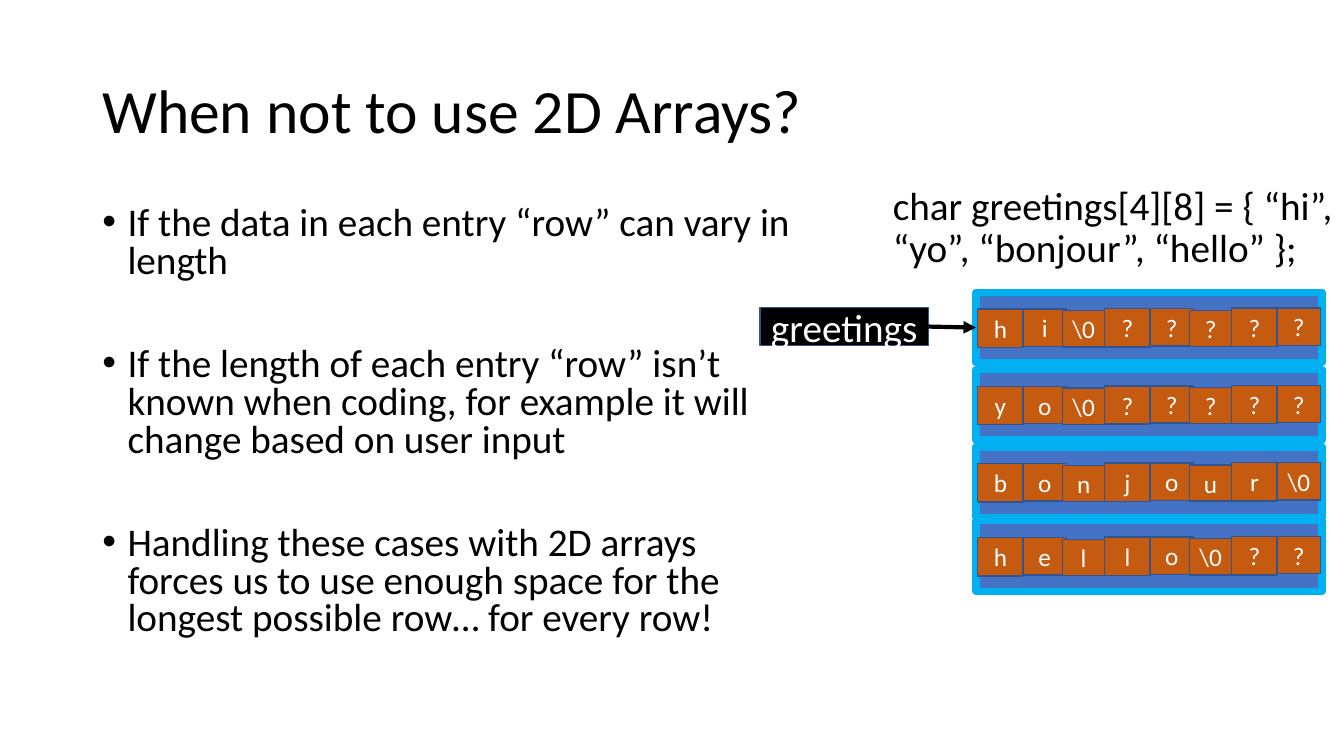
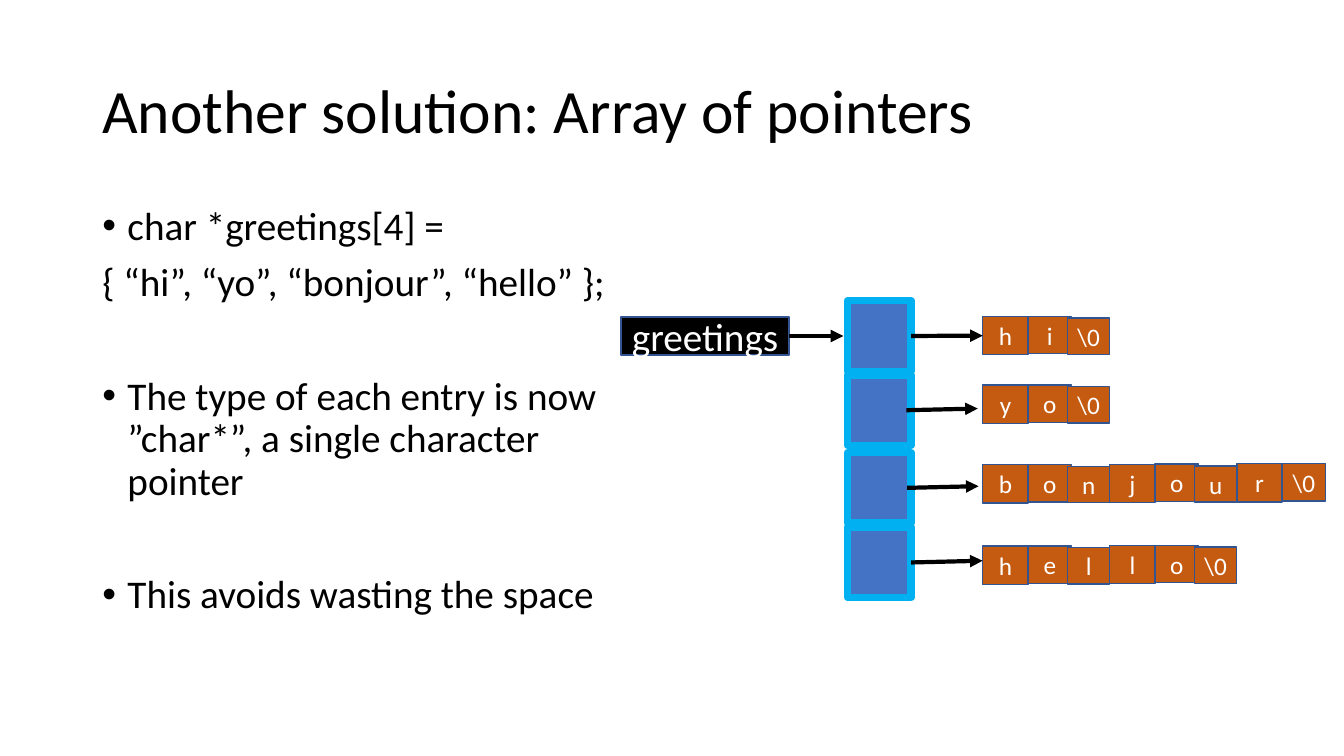
from lxml.etree import SubElement
from pptx import Presentation
from pptx.dml.color import RGBColor
from pptx.enum.shapes import MSO_CONNECTOR as Connector, MSO_SHAPE as Shape
from pptx.enum.text import MSO_ANCHOR as Anchor, PP_ALIGN as Align
from pptx.oxml.ns import qn
from pptx.util import Inches, Pt

# Grid of 80 columns by 45 rows, square units
COLUMNS, ROWS = 80, 45
UNIT = Inches(7.5) / ROWS

# Shared look
FONT = "Calibri"
BLACK, WHITE = "000000", "FFFFFF"
BLUE, CYAN, ORANGE, NAVY = "4472C4", "00B0F0", "C55A11", "325491"
LEFT = 5.5
LABEL_SIZE = (10.02, 2.28)
BAR_HEIGHT = 4.2

# Character cells repeat in groups of three slightly different sizes
GROUP_WIDTH = 7.56
CELL_PATTERN = [(0, 0, 2.7, 2.28), (2.7, 0, 2.58, 2.22), (5.04, 0.1, 2.52, 2.16)]


def grid(*units):
    return [round(unit * UNIT) for unit in units]


def color(hex_string):
    return RGBColor.from_string(hex_string)


def apply(target, values):
    for name, value in values.items():
        setattr(target, name, value)


def add_run(paragraph, text, size, hex_string):
    run = paragraph.add_run()
    run.text = text
    apply(run.font, {"name": FONT, "size": Pt(size)})
    run.font.color.rgb = color(hex_string)


def set_bullet(paragraph):
    properties = paragraph._p.get_or_add_pPr()
    properties.set("marL", str(Inches(0.25)))
    properties.set("indent", str(-Inches(0.25)))
    SubElement(properties, qn("a:buFont"), typeface="Arial")
    SubElement(properties, qn("a:buChar"), char="•")


def add_text(slide, box, paragraphs, size=28, spacing=0.9, anchor=Anchor.TOP):
    """Each paragraph is (text, has bullet, points before)."""
    frame = slide.shapes.add_textbox(*grid(*box)).text_frame
    apply(frame, {"word_wrap": True, "vertical_anchor": anchor})
    for index, (text, bullet, before) in enumerate(paragraphs):
        paragraph = frame.add_paragraph() if index else frame.paragraphs[0]
        apply(paragraph, {"line_spacing": spacing, "space_before": Pt(before)})
        if bullet:
            set_bullet(paragraph)
        add_run(paragraph, text, size, BLACK)


def add_box(slide, box, fill, line, line_width, text="", size=18):
    shape = slide.shapes.add_shape(Shape.RECTANGLE, *grid(*box))
    shape.shadow.inherit = False
    shape.fill.solid()
    shape.fill.fore_color.rgb = color(fill)
    shape.line.color.rgb = color(line)
    shape.line.width = Pt(line_width)
    if text:
        frame = shape.text_frame
        apply(frame, {"margin_left": 0, "margin_right": 0,
                      "vertical_anchor": Anchor.MIDDLE})
        frame.paragraphs[0].alignment = Align.CENTER
        add_run(frame.paragraphs[0], text, size, WHITE)
    return shape


def add_bar(slide, left, top, width):
    return add_box(slide, (left, top, width, BAR_HEIGHT), BLUE, CYAN, 5.25)


def add_label(slide, left, top):
    return add_box(slide, (left, top, *LABEL_SIZE), BLACK, NAVY, 1, "greetings", 28)


def add_cells(slide, left, top, characters):
    cells = []
    for index, character in enumerate(characters):
        group, position = divmod(index, 3)
        across, down, width, height = CELL_PATTERN[position]
        box = (left + group * GROUP_WIDTH + across, top + down - 0.03 * group, width, height)
        cells.append(add_box(slide, box, ORANGE, NAVY, 1, character))
    return cells


def add_arrow(slide, start, end, source=None, target=None):
    arrow = slide.shapes.add_connector(Connector.STRAIGHT, *grid(*start, *end))
    if source is not None:
        arrow.begin_connect(source, 3)
    if target is not None:
        arrow.end_connect(target, 1)
    arrow.line.color.rgb = color(BLACK)
    arrow.line.width = Pt(3)
    SubElement(arrow.line._get_or_add_ln(), qn("a:tailEnd"), type="triangle")
    SubElement(arrow._element.spPr, qn("a:effectLst"))


def add_slide(presentation, title):
    slide = presentation.slides.add_slide(presentation.slide_layouts[6])
    add_text(slide, (LEFT, 2.4, 69, 8.7), [(title, False, 0)], 44, anchor=Anchor.MIDDLE)
    return slide


def build_2d_array(presentation):
    slide = add_slide(presentation, "When not to use 2D Arrays?")
    add_text(slide, (LEFT, 12, 42.2, 28.5), [
        ("If the data in each entry “row” can vary in length", True, 10),
        ("If the length of each entry “row” isn’t known when coding, "
         "for example it will change based on user input", True, 47),
        ("Handling these cases with 2D arrays forces us to use enough space "
         "for the longest possible row… for every row!", True, 47),
    ], spacing=0.8)

    # Four full-width rows, padded with unknown characters
    rows = [
        (17.4, ["h", "i", "\\0"]),
        (22, ["y", "o", "\\0"]),
        (26.6, [*"bonjour", "\\0"]),
        (31, [*"hello", "\\0"]),
    ]
    bars = [add_bar(slide, 58.1, top, 20.6) for top, _ in rows]
    for top, characters in rows:
        padding = ["?"] * (8 - len(characters))
        add_cells(slide, 58.2, top + 1, characters + padding)

    # Array name and declaration
    label = add_label(slide, 45.24, 18.3)
    add_arrow(slide, (55.26, 19.44), (58.1, 19.5), label, bars[0])
    add_text(slide, (52.56, 10.8, 29.2, 7.1),
             [("char greetings[4][8] = { “hi”, “yo”, “bonjour”, “hello” };", False, 10)])


def build_pointer_array(presentation):
    slide = add_slide(presentation, "Another solution: Array of pointers")
    add_text(slide, (LEFT, 12, 33.1, 28.5), [
        ("char *greetings[4] =", True, 10),
        ("{ “hi”, “yo”, “bonjour”, “hello” };", False, 10),
        ("The type of each entry is now ”char*”, a single character pointer", True, 51),
        ("This avoids wasting the space", True, 51),
    ])

    # Pointer top, string top, arrow start, characters
    rows = [
        (17.9, 18.84, 54.24, ["h", "i", "\\0"]),
        (22.32, 22.92, 53.95, ["y", "o", "\\0"]),
        (26.94, 27.66, 54, [*"bonjour", "\\0"]),
        (31.38, 32.5, 54.24, [*"hello", "\\0"]),
    ]
    pointers = [add_bar(slide, 50.46, row[0], 3.78) for row in rows]
    for pointer, (top, string_top, start, characters) in zip(pointers, rows):
        cells = add_cells(slide, 58.5, string_top, characters)
        middle = top + BAR_HEIGHT / 2
        add_arrow(slide, (start, middle), (start + 4.25, middle - 0.1),
                  pointer if start == 54.24 else None,
                  cells[0] if pointer is pointers[0] else None)

    # Array name
    label = add_label(slide, 36.96, 18.86)
    add_arrow(slide, (46.98, 20), (50.2, 20), label)


def main():
    presentation = Presentation()
    apply(presentation, {"slide_width": round(COLUMNS * UNIT),
                         "slide_height": round(ROWS * UNIT)})
    build_2d_array(presentation)
    build_pointer_array(presentation)
    presentation.save("out.pptx")


if __name__ == "__main__":
    main()
